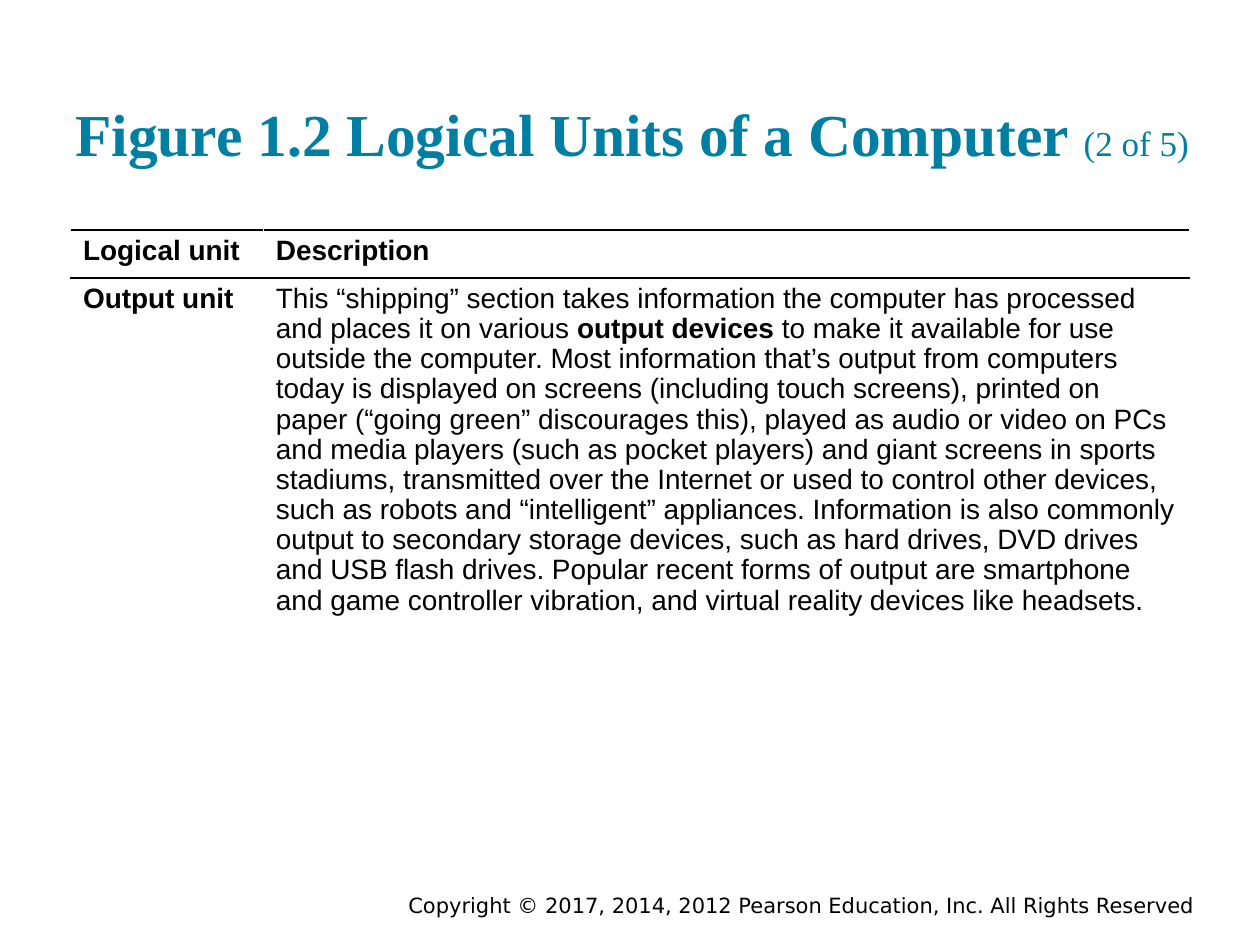
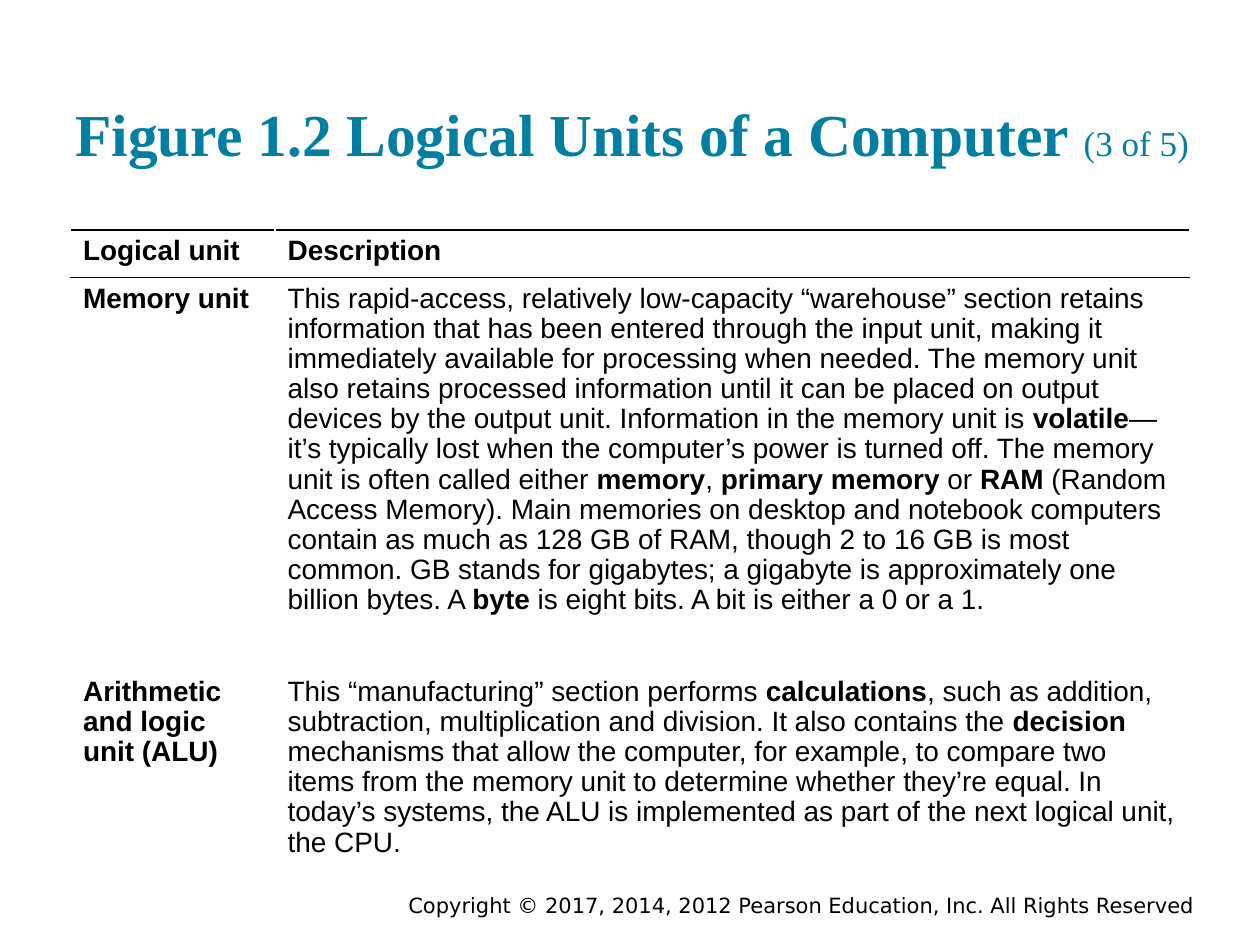
from dataclasses import dataclass

from lxml.etree import SubElement
from pptx import Presentation
from pptx.dml.color import RGBColor
from pptx.enum.text import MSO_ANCHOR as Anchor, MSO_AUTO_SIZE as AutoSize, PP_ALIGN as Align
from pptx.oxml import parse_xml
from pptx.oxml.ns import nsdecls, qn
from pptx.util import Pt


@dataclass(frozen=True)
class Theme:
    """Colours, fonts and type sizes shared by the slides."""

    heading: str = "007FA3"
    ink: str = "000000"
    paper: str = "FFFFFF"
    heading_font: str = "Times New Roman"
    table_font: str = "Arial"
    footer_font: str = "DejaVu Sans"
    heading_size: float = 34
    part_size: float = 20
    table_size: float = 16
    footer_size: float = 12
    table_spacing: float = 0.97
    rule_width: float = 1


THEME = Theme()
HEADING = "Figure 1.2 Logical Units of a Computer "
COPYRIGHT = "Copyright © 2017, 2014, 2012 Pearson Education, Inc. All Rights Reserved"
COLUMN_HEADS = ("Logical unit", "Description")
TABLE_LEFT, TABLE_WIDTH = 40.3, 639.4
HEAD_HEIGHT = 27.4

OUTPUT_UNIT = (
    "This “shipping” section takes information the computer has processed and places it on various "
    "**output devices** to make it available for use outside the computer. Most information that’s "
    "output from computers today is displayed on screens (including touch screens), printed on paper "
    "(“going green” discourages this), played as audio or video on PCs and media players (such as "
    "pocket players) and giant screens in sports stadiums, transmitted over the Internet or used to "
    "control other devices, such as robots and “intelligent” appliances. Information is also commonly "
    "output to secondary storage devices, such as hard drives, DVD drives and USB flash drives. "
    "Popular recent forms of output are smartphone and game controller vibration, and virtual reality "
    "devices like headsets."
)
MEMORY_UNIT = (
    "This rapid-access, relatively low-capacity “warehouse” section retains information that has been "
    "entered through the input unit, making it immediately available for processing when needed. The "
    "memory unit also retains processed information until it can be placed on output devices by the "
    "output unit. Information in the memory unit is **volatile**—it’s typically lost when the "
    "computer’s power is turned off. The memory unit is often called either **memory**, **primary "
    "memory** or **RAM** (Random Access Memory). Main memories on desktop and notebook computers "
    "contain as much as 128 GB of RAM, though 2 to 16 GB is most common. GB stands for gigabytes; a "
    "gigabyte is approximately one billion bytes. A **byte** is eight bits. A bit is either a 0 or a 1."
)
ARITHMETIC_UNIT = (
    "This “manufacturing” section performs **calculations**, such as addition, subtraction, "
    "multiplication and division. It also contains the **decision** mechanisms that allow the "
    "computer, for example, to compare two items from the memory unit to determine whether they’re "
    "equal. In today’s systems, the ALU is implemented as part of the next logical unit, the CPU."
)


def add_text(paragraph, text, font, size, color=THEME.ink, bold=False):
    """Append text to a paragraph, with **marked** parts in bold."""
    for index, part in enumerate(text.split("**")):
        if part:
            run = paragraph.add_run()
            run.text = part
            run.font.name = font
            run.font.size = Pt(size)
            run.font.bold = bold or index % 2 == 1
            run.font.italic = False
            run.font.color.rgb = RGBColor.from_string(color)


def place_title(slide, part):
    """Position the title placeholder and write the heading with its part number."""
    title = slide.shapes.title
    title.left, title.top, title.width, title.height = Pt(36), Pt(17.3), Pt(661), Pt(86.4)
    frame = title.text_frame
    frame.auto_size, frame.word_wrap = AutoSize.NONE, True
    frame.vertical_anchor = Anchor.BOTTOM
    frame.margin_left = frame.margin_right = frame.margin_top = frame.margin_bottom = Pt(7.2)
    heading = frame.paragraphs[0]
    heading.alignment = Align.LEFT
    add_text(heading, HEADING, THEME.heading_font, THEME.heading_size, THEME.heading, bold=True)
    add_text(heading, f"({part} of 5)", THEME.heading_font, THEME.part_size, THEME.heading)


def add_footer(slide):
    """Add the right-aligned copyright line."""
    frame = slide.shapes.add_textbox(Pt(208.8), Pt(507.6), Pt(481), Pt(19.4)).text_frame
    frame.word_wrap = True
    frame.vertical_anchor = Anchor.MIDDLE
    frame.margin_top = frame.margin_bottom = 0
    frame.paragraphs[0].alignment = Align.RIGHT
    add_text(frame.paragraphs[0], COPYRIGHT, THEME.footer_font, THEME.footer_size)


def rule_cell(cell, edge):
    """Draw a rule on one edge of a cell: lnT or lnB."""
    line = parse_xml(f'<a:{edge} {nsdecls("a")} w="{Pt(THEME.rule_width)}"/>')
    fill = SubElement(line, qn("a:solidFill"))
    SubElement(fill, qn("a:srgbClr"), val=THEME.ink)
    cell._tc.get_or_add_tcPr().insert(0, line)


def fill_cell(cell, text, bold):
    """Write a cell's text on the paper colour."""
    cell.fill.solid()
    cell.fill.fore_color.rgb = RGBColor.from_string(THEME.paper)
    paragraph = cell.text_frame.paragraphs[0]
    paragraph.line_spacing = THEME.table_spacing
    add_text(paragraph, text, THEME.table_font, THEME.table_size, bold=bold)


def add_unit_table(slide, top, unit_width, units):
    """Add the table of logical units, given as (name, description, row height)."""
    heights = [HEAD_HEIGHT, *(height for _, _, height in units)]
    texts = [COLUMN_HEADS, *((name, description) for name, description, _ in units)]
    table = slide.shapes.add_table(
        len(texts), 2, Pt(TABLE_LEFT), Pt(top), Pt(TABLE_WIDTH), Pt(sum(heights))
    ).table
    table.first_row = table.horz_banding = False
    table.columns[0].width = Pt(unit_width)
    table.columns[1].width = Pt(TABLE_WIDTH - unit_width)
    for row, (height, row_texts) in enumerate(zip(heights, texts)):
        table.rows[row].height = Pt(height)
        for column, text in enumerate(row_texts):
            cell = table.cell(row, column)
            fill_cell(cell, text, bold=row == 0 or column == 0)
            if row == 0:
                rule_cell(cell, "lnB")
            if row < 2:
                rule_cell(cell, "lnT")


def add_units_slide(deck, part, **table_format):
    """Add one part of the figure."""
    slide = deck.slides.add_slide(deck.slide_layouts[5])
    add_footer(slide)
    place_title(slide, part)
    add_unit_table(slide, **table_format)


def main():
    """Build and save the slides."""
    deck = Presentation()
    deck.slide_width, deck.slide_height = Pt(720), Pt(540)
    add_units_slide(
        deck, 2, top=131.5, unit_width=110.2,
        units=[("Output unit", OUTPUT_UNIT, 239)],
    )
    add_units_slide(
        deck, 3, top=131.3, unit_width=116.9,
        units=[
            ("Memory unit", MEMORY_UNIT, 224.7),
            ("Arithmetic and logic unit (ALU)", ARITHMETIC_UNIT, 126),
        ],
    )
    deck.save("out.pptx")


if __name__ == "__main__":
    main()
